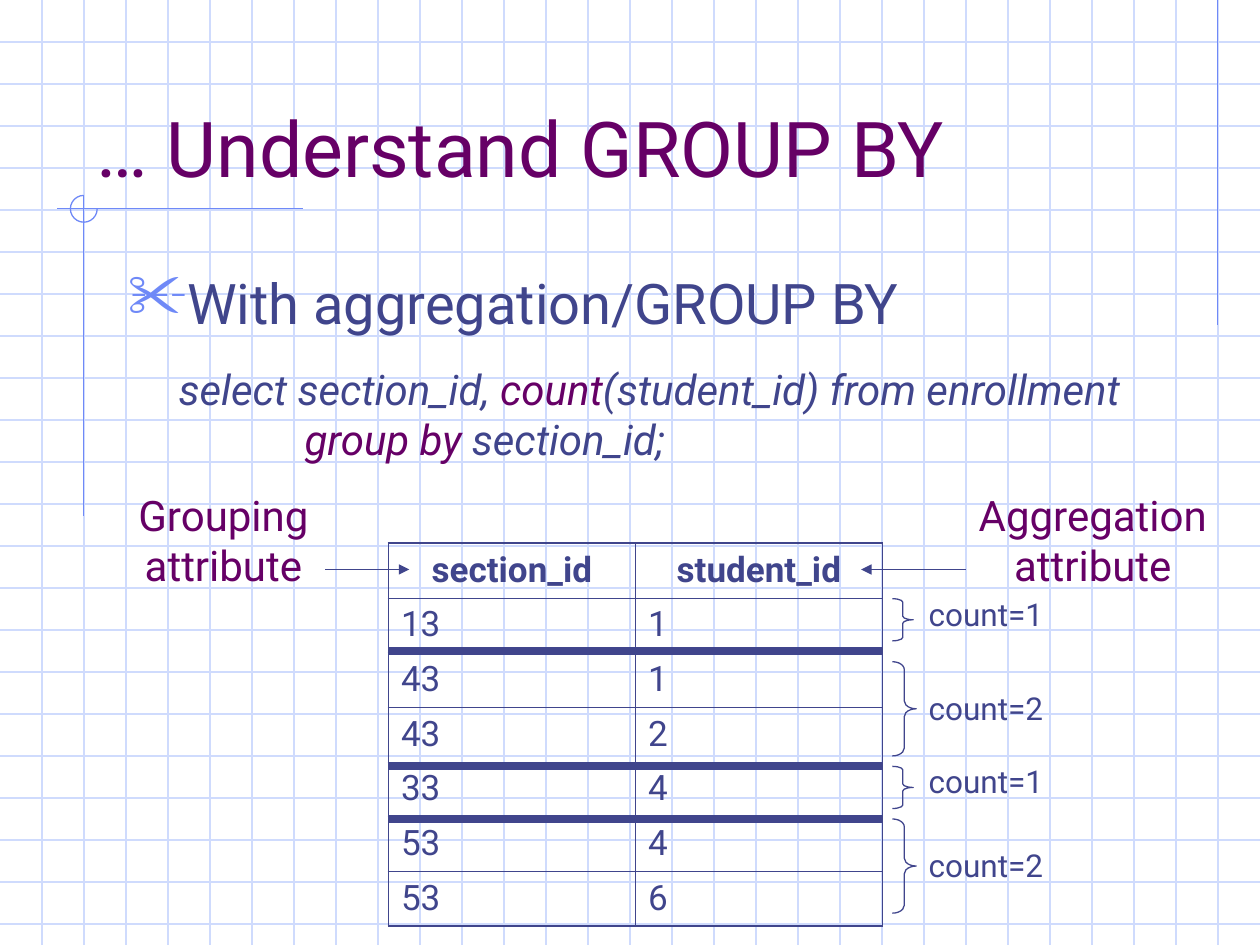
"""Build the slide that explains GROUP BY with a grouped enrollment table."""
from dataclasses import dataclass

from lxml import etree
from pptx import Presentation
from pptx import util as u
from pptx.dml.color import RGBColor
from pptx.enum import shapes, text
from pptx.oxml.ns import qn

NAVY = RGBColor(0x40, 0x45, 0x8C)
PURPLE = RGBColor(0x66, 0x00, 0x66)
BLUE = RGBColor(0x6F, 0x89, 0xF7)
GRID = RGBColor(0xCF, 0xDB, 0xFD)
FONT = "Roboto"
WIDTH, HEIGHT, STEP = 25.4, 19.05, 25.4 / 30
LEFT, TOP, COL, ROW = 7.83, 10.95, 4.98, 1.1
RIGHT = LEFT + 2 * COL
THIN, THICK = 0.45, 1.08
CENTER = text.PP_ALIGN.CENTER


@dataclass
class Run:
    text: str
    color: RGBColor = NAVY


@dataclass
class Line:
    x1: float
    y1: float
    x2: float
    y2: float
    color: RGBColor = NAVY
    width: float = 0.75
    arrow: bool = False


@dataclass
class Box:
    x: float
    y: float
    w: float
    h: float
    size: float
    paras: list[list[Run]]
    italic: bool = False
    align: text.PP_ALIGN = text.PP_ALIGN.LEFT
    anchor: text.MSO_ANCHOR = text.MSO_ANCHOR.TOP
    wrap: bool = False


@dataclass
class Group:
    y: float
    w: float
    h: float
    label_y: float
    count: int


def add_line(s, line: Line) -> None:
    ends = (u.Cm(v) for v in (line.x1, line.y1, line.x2, line.y2))
    sp = s.shapes.add_connector(shapes.MSO_CONNECTOR.STRAIGHT, *ends)
    sp.line.color.rgb = line.color
    sp.line.width = u.Pt(line.width)
    if line.arrow:
        etree.SubElement(sp.line._get_or_add_ln(), qn("a:tailEnd"), type="triangle")
    etree.SubElement(sp._element.spPr, qn("a:effectLst"))


def add_runs(p, runs: list[Run], size: float, **extra) -> None:
    for run in runs:
        r = p.add_run()
        r.text = run.text
        r.font.color.rgb = run.color
        for name, value in {"name": FONT, "size": u.Pt(size), **extra}.items():
            setattr(r.font, name, value)


def add_box(s, box: Box):
    sp = s.shapes.add_textbox(*(u.Cm(v) for v in (box.x, box.y, box.w, box.h)))
    tf = sp.text_frame
    fit = text.MSO_AUTO_SIZE.NONE if box.wrap else text.MSO_AUTO_SIZE.SHAPE_TO_FIT_TEXT
    for name, value in {"word_wrap": box.wrap, "auto_size": fit,
                        "vertical_anchor": box.anchor}.items():
        setattr(tf, name, value)
    for i, runs in enumerate(box.paras):
        p = tf.add_paragraph() if i else tf.paragraphs[0]
        p.alignment = box.align
        add_runs(p, runs, box.size, italic=box.italic)
    return tf


def set_indent(p, margin: float, indent: float = 0):
    pr = p._p.get_or_add_pPr()
    pr.set("marL", str(u.Cm(margin)))
    pr.set("indent", str(u.Cm(indent)))
    return pr


def add_bullet(p, char: str) -> None:
    pr = set_indent(p, 0.95, -0.95)
    color = etree.SubElement(pr, qn("a:buClr"))
    etree.SubElement(color, qn("a:srgbClr"), val=str(BLUE))
    etree.SubElement(pr, qn("a:buSzPct"), val="110000")
    etree.SubElement(pr, qn("a:buChar"), char=char)


def add_outline(s, kind, x: float, y: float, w: float, h: float,
                color: RGBColor, adjust: tuple[float, float]) -> None:
    sp = s.shapes.add_shape(kind, *(u.Cm(v) for v in (x, y, w, h)))
    sp.shadow.inherit = False
    sp.fill.background()
    sp.line.color.rgb = color
    sp.line.width = u.Pt(0.75)
    for i, value in enumerate(adjust):
        sp.adjustments[i] = value


def set_borders(cell, widths: dict[str, float]) -> None:
    pr = cell._tc.get_or_add_tcPr()
    for side, width in widths.items():
        ln = etree.SubElement(pr, qn(f"a:ln{side}"), w=str(u.Pt(width)))
        fill = etree.SubElement(ln, qn("a:solidFill"))
        etree.SubElement(fill, qn("a:srgbClr"), val=str(NAVY))


def add_enrollment(s, rows: list[tuple[str, str]]) -> None:
    n = len(rows)
    tbl = s.shapes.add_table(n, 2, u.Cm(LEFT), u.Cm(TOP), u.Cm(2 * COL), u.Cm(n * ROW)).table
    tbl.first_row = tbl.horz_banding = False
    for i, values in enumerate(rows):
        tbl.rows[i].height = u.Cm(ROW)
        for j, value in enumerate(values):
            cell = tbl.cell(i, j)
            outer = {"L": j == 0, "R": j == 1, "T": i == 0, "B": i == n - 1}
            set_borders(cell, {k: THICK if edge else THIN for k, edge in outer.items()})
            cell.fill.background()
            p = cell.text_frame.paragraphs[0]
            p.alignment = text.PP_ALIGN.LEFT if i else CENTER
            add_runs(p, [Run(value)], 20, bold=i == 0)


def add_backdrop(s) -> None:
    for i in range(1, 23):
        add_line(s, Line(0, i * STEP, WIDTH, i * STEP, GRID))
    for i in range(1, 30):
        add_line(s, Line(i * STEP, 0, i * STEP, HEIGHT, GRID))
    for ends in ((24.55, 0, 24.55, 6.56), (6.1, 4.21, 1.14, 4.21), (1.69, 3.94, 1.69, 10.4)):
        add_line(s, Line(*ends, BLUE))
    add_outline(s, shapes.MSO_SHAPE.ARC, 1.42, 3.94, 0.54, 0.54, BLUE, (0, 162))


def main() -> None:
    prs = Presentation()
    prs.slide_width, prs.slide_height = u.Cm(WIDTH), u.Cm(HEIGHT)
    s = prs.slides.add_slide(prs.slide_layouts[6])
    add_backdrop(s)

    add_box(s, Box(1.69, 0.85, 21.59, 3.17, 44, [[Run("… Understand GROUP BY", PURPLE)]],
                   anchor=text.MSO_ANCHOR.BOTTOM, wrap=True))
    tf = add_box(s, Box(2.33, 5.29, 21.59, 1.9, 32, [[Run("With aggregation/GROUP BY")]],
                        wrap=True))
    add_bullet(tf.paragraphs[0], "✂")
    query = [[Run("select section_id, "), Run("count", PURPLE),
              Run("(student_id) from enrollment")],
             [Run("group by", PURPLE), Run(" section_id;")]]
    tf = add_box(s, Box(3.35, 7.2, 19.76, 2.29, 24, query, italic=True))
    set_indent(tf.paragraphs[1], 2.54)

    for x, w, word in ((2.36, 4.29, "Grouping"), (19.3, 5.46, "Aggregation")):
        paras = [[Run(word, PURPLE)], [Run("attribute", PURPLE)]]
        add_box(s, Box(x, 9.74, w, 2.29, 24, paras, align=CENTER))
    for x1, x2 in ((6.56, 8.25), (19.47, 17.36)):
        add_line(s, Line(x1, 11.48, x2, 11.48, arrow=True))

    add_enrollment(s, [("section_id", "student_id"), ("13", "1"), ("43", "1"), ("43", "2"),
                       ("33", "4"), ("53", "4"), ("53", "6")])
    for g in (Group(12.07, 0.42, 0.85, 11.88, 1), Group(13.34, 0.48, 1.9, 13.76, 2),
              Group(15.45, 0.42, 0.85, 15.24, 1), Group(16.51, 0.48, 1.9, 16.93, 2)):
        add_outline(s, shapes.MSO_SHAPE.RIGHT_BRACE, 17.99, g.y, g.w, g.h, NAVY,
                    (g.h / g.w / 12, 0.5))
        add_box(s, Box(18.47, g.label_y, 2.92, 1.02, 18, [[Run(f"count={g.count}")]]))
    for y in (13.12, 15.45, 16.51):
        add_line(s, Line(LEFT, y, RIGHT, y, width=4.5))
    prs.save("out.pptx")


if __name__ == "__main__":
    main()
